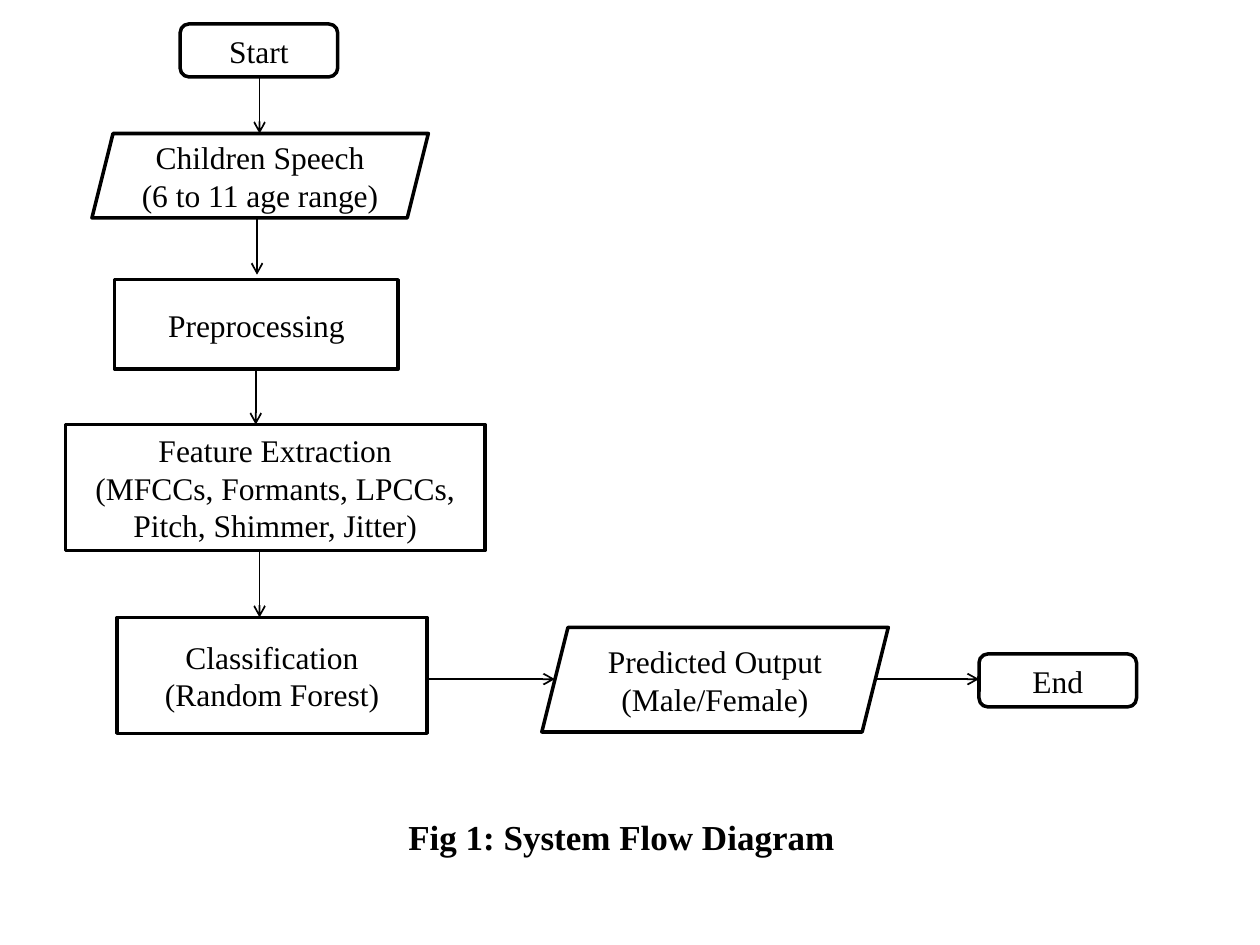
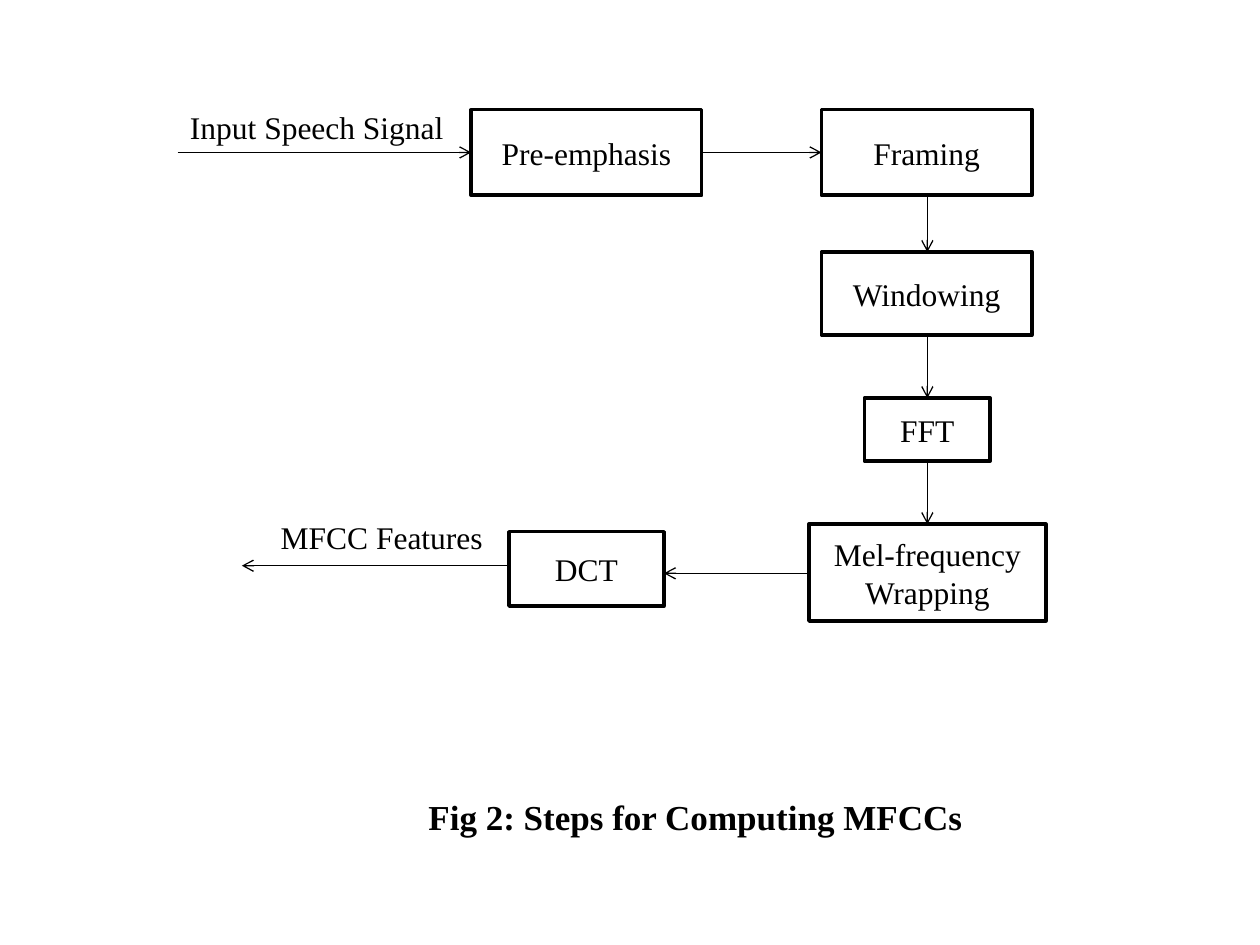
"""Build two flow diagrams on a shared grid of 100 columns by 75 rows."""
import dataclasses

import lxml.etree
import pptx
import pptx.dml.color
import pptx.enum.shapes
import pptx.enum.text
import pptx.oxml.ns
import pptx.util

SHAPES = pptx.enum.shapes.MSO_SHAPE
ALIGN = pptx.enum.text.PP_ALIGN
ANCHOR = pptx.enum.text.MSO_ANCHOR


@dataclasses.dataclass(frozen=True)
class Theme:
    font: str = "Times New Roman"
    ink: pptx.dml.color.RGBColor = pptx.dml.color.RGBColor(0, 0, 0)
    paper: pptx.dml.color.RGBColor = pptx.dml.color.RGBColor(255, 255, 255)
    body_size: int = 18
    caption_size: int = 20
    outline: float = 2
    columns: int = 100
    rows: int = 75
    slant: float = 0.25


class Diagram:
    def __init__(self, presentation, theme):
        self.presentation = presentation
        self.theme = theme
        self.slide = None
        self.arrow_width = 1

    def new_slide(self, arrow_width):
        self.slide = self.presentation.slides.add_slide(self.presentation.slide_layouts[5])
        self.arrow_width = arrow_width

    def column(self, count):
        return round(self.presentation.slide_width * count / self.theme.columns)

    def row(self, count):
        return round(self.presentation.slide_height * count / self.theme.rows)

    def area(self, left, top, width, height):
        return self.column(left), self.row(top), self.column(width), self.row(height)

    def set_text(self, shape, text, align, anchor, size, bold=False):
        frame = shape.text_frame
        frame.text = text
        frame.word_wrap = True
        frame.auto_size = pptx.enum.text.MSO_AUTO_SIZE.NONE
        frame.vertical_anchor = anchor
        for paragraph in frame.paragraphs:
            paragraph.alignment = align
            for run in paragraph.runs:
                run.font.name = self.theme.font
                run.font.size = pptx.util.Pt(size)
                run.font.bold = bold
                run.font.color.rgb = self.theme.ink

    def caption(self, text, area, align=ALIGN.LEFT):
        title = self.slide.shapes.title
        title.left, title.top, title.width, title.height = self.area(*area)
        self.set_text(title, text, align, ANCHOR.TOP, self.theme.caption_size, True)

    def label(self, text, *area):
        box = self.slide.shapes.add_textbox(*self.area(*area))
        self.set_text(box, text, ALIGN.LEFT, ANCHOR.BOTTOM, self.theme.body_size)

    def step(self, text, area, kind=SHAPES.RECTANGLE):
        shape = self.slide.shapes.add_shape(kind, *self.area(*area))
        shape.shadow.inherit = False
        shape.fill.solid()
        shape.fill.fore_color.rgb = self.theme.paper
        shape.line.color.rgb = self.theme.ink
        shape.line.width = pptx.util.Pt(self.theme.outline)
        if kind == SHAPES.PARALLELOGRAM:
            shape.adjustments[0] = self.theme.slant
        self.set_text(shape, text, ALIGN.CENTER, ANCHOR.MIDDLE, self.theme.body_size)
        return shape

    def arrow(self, start_x, start_y, end_x, end_y):
        connector = self.slide.shapes.add_connector(
            pptx.enum.shapes.MSO_CONNECTOR.STRAIGHT, start_x, start_y, end_x, end_y)
        connector.line.color.rgb = self.theme.ink
        connector.line.width = pptx.util.Pt(self.arrow_width)
        qualified = pptx.oxml.ns.qn
        properties = connector._element.spPr
        line = properties.find(qualified("a:ln"))
        lxml.etree.SubElement(line, qualified("a:tailEnd"), type="arrow")
        lxml.etree.SubElement(properties, qualified("a:effectLst"))

    def down(self, upper, lower, column, gap=0):
        x = self.column(column)
        self.arrow(x, upper.top + upper.height, x, lower.top - self.row(gap))

    def sides(self, shape):
        slanted = shape.auto_shape_type == SHAPES.PARALLELOGRAM
        inset = round(shape.height * self.theme.slant / 2) if slanted else 0
        return shape.left + inset, shape.left + shape.width - inset

    def across(self, source, target, row):
        y = self.row(row)
        source_left, source_right = self.sides(source)
        target_left, target_right = self.sides(target)
        if source_left < target_left:
            self.arrow(source_right, y, target_left, y)
        else:
            self.arrow(source_left, y, target_right, y)

    def enter(self, column, target, row):
        self.arrow(self.column(column), self.row(row), target.left, self.row(row))

    def leave(self, source, column, row):
        self.arrow(source.left, self.row(row), self.column(column), self.row(row))


def system_flow(diagram):
    diagram.new_slide(arrow_width=1)
    start = diagram.step("Start", (14.3, 1.9, 12.5, 4.2), SHAPES.ROUNDED_RECTANGLE)
    speech = diagram.step("Children Speech (6 to 11 age range)",
                          (7.3, 10.6, 26.7, 6.7), SHAPES.PARALLELOGRAM)
    preprocessing = diagram.step("Preprocessing", (9.1, 22.2, 22.5, 7.1))
    features = diagram.step(
        "Feature Extraction\n(MFCCs, Formants, LPCCs, Pitch, Shimmer, Jitter)",
        (5.2, 33.7, 33.3, 10))
    classification = diagram.step("Classification\n(Random Forest)", (9.3, 49, 24.6, 9.2))
    output = diagram.step("Predicted Output\n(Male/Female)",
                          (43, 49.8, 27.5, 8.3), SHAPES.PARALLELOGRAM)
    end = diagram.step("End", (77.7, 51.9, 12.5, 4.2), SHAPES.ROUNDED_RECTANGLE)
    diagram.down(start, speech, 20.6)
    diagram.down(speech, preprocessing, 20.4, gap=0.4)
    diagram.down(preprocessing, features, 20.3)
    diagram.down(features, classification, 20.6)
    diagram.across(classification, output, 53.9)
    diagram.across(output, end, 53.9)
    diagram.caption("Fig 1: System Flow Diagram", (31.4, 64.2, 46.3, 4.4))


def mfcc_steps(diagram):
    diagram.new_slide(arrow_width=0.75)
    emphasis = diagram.step("Pre-emphasis", (37.4, 8.7, 18.3, 6.8))
    framing = diagram.step("Framing", (65.2, 8.7, 16.7, 6.8))
    windowing = diagram.step("Windowing", (65.2, 20, 16.7, 6.6))
    transform = diagram.step("FFT", (68.6, 31.6, 10, 5))
    wrapping = diagram.step("Mel-frequency Wrapping", (64.2, 41.6, 18.8, 7.7))
    cosine = diagram.step("DCT", (40.4, 42.2, 12.3, 5.9))
    diagram.enter(14.1, emphasis, 12.1)
    diagram.across(emphasis, framing, 12.1)
    column_steps = [framing, windowing, transform, wrapping]
    for upper, lower in zip(column_steps, column_steps[1:]):
        diagram.down(upper, lower, 73.6)
    diagram.across(wrapping, cosine, 45.5)
    diagram.leave(cosine, 19.2, 44.9)
    diagram.label("Input Speech Signal", 14.1, 5, 23.3, 7.1)
    diagram.label("MFCC Features", 21.3, 40.6, 18.3, 4)
    diagram.caption("Fig 2: Steps for Computing MFCCs", (27.5, 62.6, 55.4, 4.4), ALIGN.CENTER)


presentation = pptx.Presentation()
presentation.slide_width = pptx.util.Inches(10)
presentation.slide_height = pptx.util.Inches(7.5)
diagram = Diagram(presentation, Theme())
system_flow(diagram)
mfcc_steps(diagram)
presentation.save("out.pptx")
